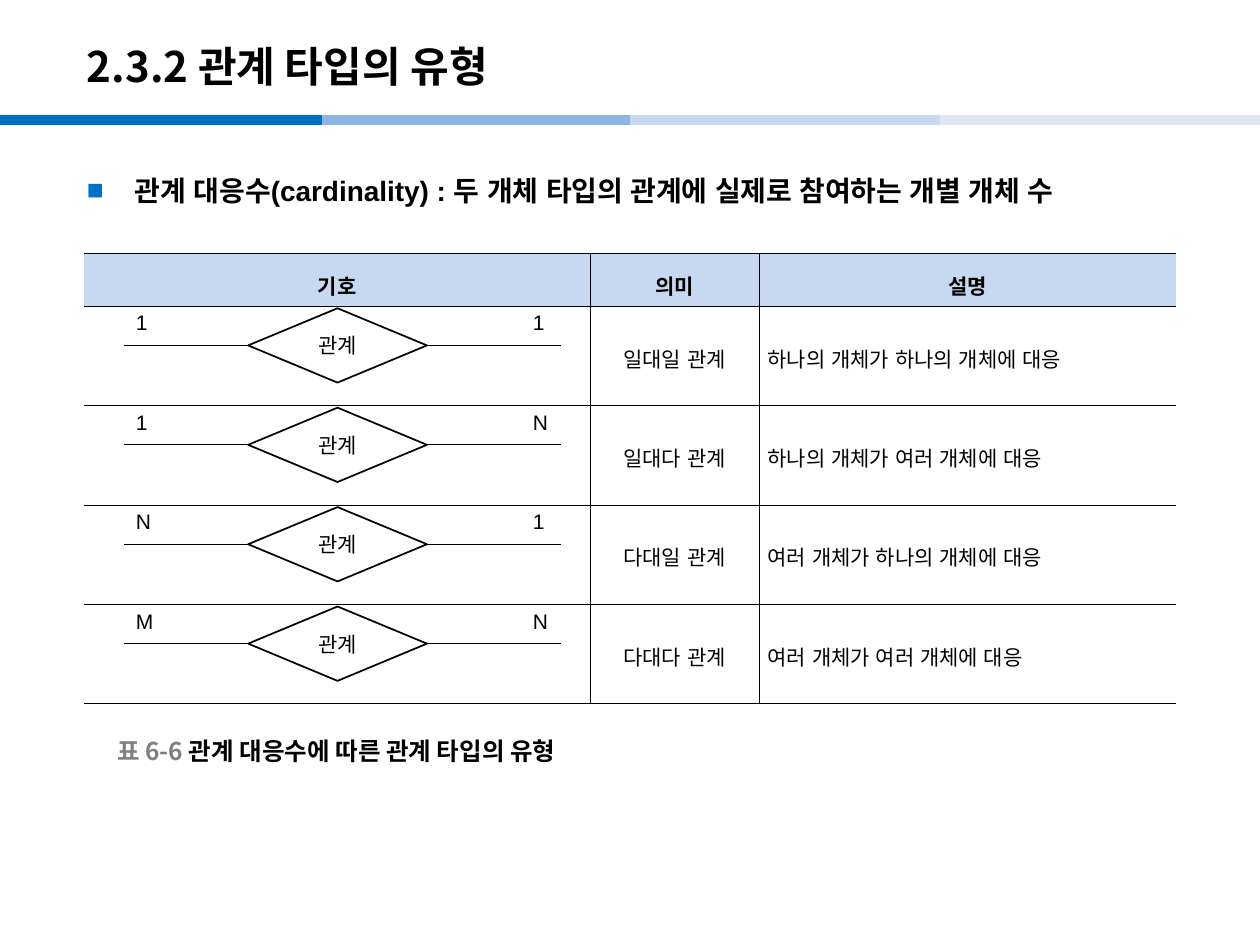
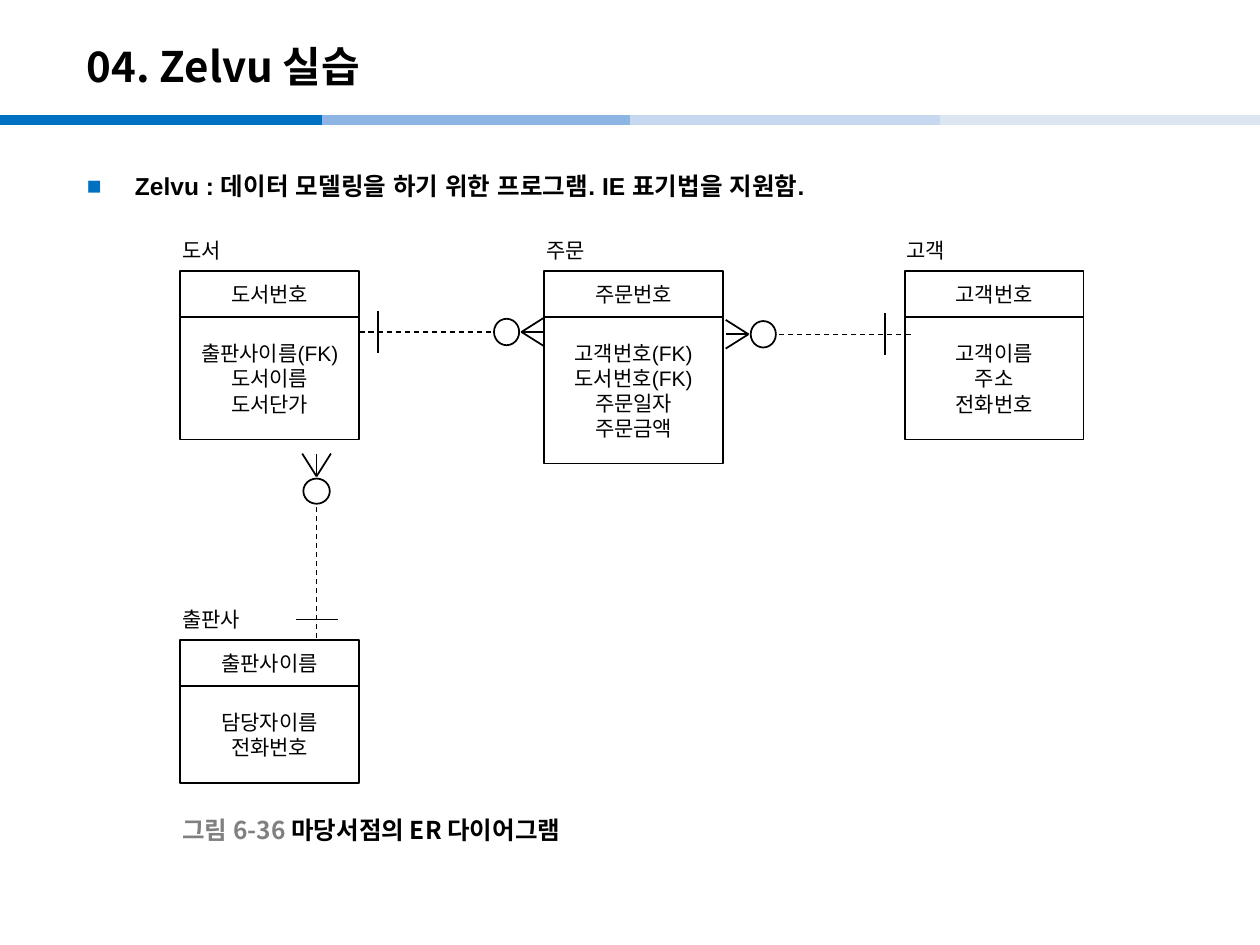
from lxml import etree
from pptx import Presentation
from pptx.dml.color import RGBColor
from pptx.enum.dml import MSO_LINE
from pptx.enum.shapes import MSO_CONNECTOR, MSO_SHAPE
from pptx.enum.text import MSO_ANCHOR, MSO_AUTO_SIZE, PP_ALIGN
from pptx.oxml.ns import qn
from pptx.util import Pt

BLACK = RGBColor(0x00, 0x00, 0x00)
WHITE = RGBColor(0xFF, 0xFF, 0xFF)
GRAY = RGBColor(0x80, 0x80, 0x80)
BLUE = RGBColor(0x00, 0x70, 0xC0)
MID_BLUE = RGBColor(0x8E, 0xB4, 0xE3)
LIGHT_BLUE = RGBColor(0xC6, 0xD9, 0xF1)
PALE_BLUE = RGBColor(0xDC, 0xE6, 0xF2)
ARIAL = "Arial"
NOTO = "Noto Sans CJK KR"

BANDS = [(0, BLUE), (184.3, MID_BLUE), (360, LIGHT_BLUE), (537.1, PALE_BLUE)]
BAND_Y, BAND_LENGTH = 68.5, 184.3

HEADER = ["기호", "의미", "설명"]
RELATION_TYPES = [
    ("1", "1", "일대일 관계", "하나의 개체가 하나의 개체에 대응"),
    ("1", "N", "일대다 관계", "하나의 개체가 여러 개체에 대응"),
    ("N", "1", "다대일 관계", "여러 개체가 하나의 개체에 대응"),
    ("M", "N", "다대다 관계", "여러 개체가 여러 개체에 대응"),
]
COLUMN_WIDTHS = [289.2, 96.5, 238.2]
HEADER_HEIGHT, ROW_HEIGHT = 30.3, 56.8

ENTITY_WIDTH, KEY_HEIGHT = 102.2, 26.6


def format_run(r, size, font=ARIAL, color=BLACK, bold=False):
    f = r.font
    f.size, f.name, f.bold = Pt(size), font, bold
    f.color.rgb = color
    ea = etree.SubElement(r._r.get_or_add_rPr(), qn("a:ea"))
    ea.set("typeface", font)


def format_text(tf, size=12, font=ARIAL, bold=False, align=None):
    for p in tf.paragraphs:
        p.alignment = align
        for r in p.runs:
            format_run(r, size, font, bold=bold)


def add_line(s, x1, y1, x2, y2, width=0.75, color=BLACK, dashed=False):
    line = s.shapes.add_connector(
        MSO_CONNECTOR.STRAIGHT, Pt(x1), Pt(y1), Pt(x2), Pt(y2))
    line.line.width = Pt(width)
    line.line.color.rgb = color
    if dashed:
        line.line.dash_style = MSO_LINE.DASH
    etree.SubElement(line.element.spPr, qn("a:effectLst"))
    return line


def add_outlined(s, kind, x, y, w, h, text="", font=ARIAL, fill=None):
    sp = s.shapes.add_shape(kind, Pt(x), Pt(y), Pt(w), Pt(h))
    sp.shadow.inherit = False
    sp.line.color.rgb = BLACK
    sp.line.width = Pt(1)
    if fill is None:
        sp.fill.background()
    else:
        sp.fill.solid()
        sp.fill.fore_color.rgb = fill
    if text:
        tf = sp.text_frame
        tf.text = text
        tf.vertical_anchor = MSO_ANCHOR.MIDDLE
        format_text(tf, font=font, align=PP_ALIGN.CENTER)
    return sp


def add_label(s, x, y, w, text, h=21.6):
    tf = s.shapes.add_textbox(Pt(x), Pt(y), Pt(w), Pt(h)).text_frame
    tf.word_wrap = True
    tf.text = text
    format_text(tf)
    return tf


def add_caption(s, x, y, number, text):
    tf = add_label(s, x, y, 340, "", 22.3)
    tf.vertical_anchor = MSO_ANCHOR.MIDDLE
    for part, color in ((number + " ", GRAY), (text, BLACK)):
        r = tf.paragraphs[0].add_run()
        r.text = part
        format_run(r, 14, NOTO, color, True)


def place(sp, x, y, w, h):
    sp.left, sp.top, sp.width, sp.height = Pt(x), Pt(y), Pt(w), Pt(h)


def add_bullet(p):
    p.line_spacing = 1.5
    p.space_before = Pt(0)
    pPr = p._p.get_or_add_pPr()
    pPr.set("marL", str(Pt(27.4)))
    pPr.set("indent", str(-Pt(27.4)))
    color = etree.SubElement(pPr, qn("a:buClr"))
    etree.SubElement(color, qn("a:srgbClr")).set("val", str(BLUE))
    etree.SubElement(pPr, qn("a:buFont")).set("typeface", ARIAL)
    etree.SubElement(pPr, qn("a:buChar")).set("char", "■")


def add_slide(prs, title, point, point_size):
    s = prs.slides.add_slide(prs.slide_layouts[1])
    heading, body = s.shapes.title.text_frame, s.placeholders[1].text_frame
    heading.text = title
    heading.vertical_anchor = MSO_ANCHOR.MIDDLE
    format_text(heading, 24, NOTO, True, PP_ALIGN.LEFT)
    body.text = point
    format_text(body, point_size, bold=True)
    add_bullet(body.paragraphs[0])
    for tf in (heading, body):
        tf.auto_size = MSO_AUTO_SIZE.NONE
    return s


def set_up_layout(layout, s):
    """Place the layout's placeholders and move the bands, drawn on s, to it."""
    place(layout.placeholders[0], 42.5, 15.8, 595.4, 43.2)
    place(layout.placeholders[1], 42.5, 85.7, 635, 430.6)
    for x, color in BANDS:
        band = add_line(s, x, BAND_Y, x + BAND_LENGTH, BAND_Y, 6, color)
        layout.shapes.element.append(band.element)


def set_borders(cell, hidden):
    """Draw thin lines on all sides but the hidden ones."""
    tcPr = cell._tc.get_or_add_tcPr()
    for i, side in enumerate("LRTB"):
        ln = etree.Element(qn("a:ln" + side))
        ln.set("w", str(Pt(0.28)))
        if side in hidden:
            etree.SubElement(ln, qn("a:noFill"))
        else:
            fill = etree.SubElement(ln, qn("a:solidFill"))
            etree.SubElement(fill, qn("a:srgbClr")).set("val", str(BLACK))
        tcPr.insert(i, ln)


def add_relation_table(s, x, y):
    rows = [HEADER] + [["", name, note] for _, _, name, note in RELATION_TYPES]
    heights = [HEADER_HEIGHT] + [ROW_HEIGHT] * len(RELATION_TYPES)
    table = s.shapes.add_table(
        len(rows), len(HEADER), Pt(x), Pt(y),
        Pt(sum(COLUMN_WIDTHS)), Pt(sum(heights))).table
    table.first_row = table.horz_banding = False
    for column, width in zip(table.columns, COLUMN_WIDTHS):
        column.width = Pt(width)
    for i, (row, height) in enumerate(zip(rows, heights)):
        table.rows[i].height = Pt(height)
        for j, text in enumerate(row):
            cell = table.cell(i, j)
            cell.text = text
            cell.vertical_anchor = MSO_ANCHOR.MIDDLE
            cell.margin_left = cell.margin_right = Pt(5)
            cell.margin_top = cell.margin_bottom = Pt(1.4)
            cell.fill.solid()
            cell.fill.fore_color.rgb = WHITE if i else LIGHT_BLUE
            centred = i == 0 or j < 2
            format_text(cell.text_frame, bold=i == 0,
                        align=PP_ALIGN.CENTER if centred else PP_ALIGN.LEFT)
            cell.text_frame.paragraphs[0].line_spacing = Pt(18) if i else 1.6
            set_borders(cell, {0: "L", 2: "R"}.get(j, ""))


def add_relation_symbol(s, y, left, right):
    """Draw a diamond on a line at height y with a count at each end."""
    add_line(s, 70.6, y, 320.4, y)
    add_outlined(s, MSO_SHAPE.FLOWCHART_DECISION, 141.8, y - 21.25,
                 102.2, 42.5, "관계", NOTO, WHITE)
    add_label(s, 70.6, y - 23.8, 26, left)
    add_label(s, 297.4, y - 23.8, 26, right)


def add_entity(s, x, y, name, key, fields, fields_height):
    add_outlined(s, MSO_SHAPE.RECTANGLE, x, y, ENTITY_WIDTH, KEY_HEIGHT, key)
    add_outlined(s, MSO_SHAPE.RECTANGLE, x, y + KEY_HEIGHT,
                 ENTITY_WIDTH, fields_height, "\n".join(fields))
    add_label(s, x - 6, y - 22.5, 18 + 12 * len(name), name)


def add_one_to_many(s, x, y, dx, dy, bar):
    """Draw a relation whose crow's foot has its apex at x, y.

    (dx, dy) is the unit step towards the many side; bar is the distance
    from the apex back to the mark of the one side.
    """
    def at(along, across=0):
        return x + dx * along + dy * across, y + dy * along + dx * across

    add_line(s, *at(-92.6), *at(12.5), dashed=True)
    add_line(s, *at(-bar, -12), *at(-bar, 12))
    cx, cy = at(-8.5)
    w, h = (14.4, 15.1) if dx else (15.1, 14.4)
    add_outlined(s, MSO_SHAPE.OVAL, cx - w / 2, cy - h / 2, w, h, fill=WHITE)
    for spread in (-8.2, 0, 8.2):
        add_line(s, x, y, *at(13, spread), width=1)


def add_cardinality_slide(prs):
    s = add_slide(
        prs, "2.3.2 관계 타입의 유형",
        "관계 대응수(cardinality) : 두 개체 타입의 관계에 실제로 참여하는 개별 개체 수", 16)
    add_relation_table(s, 48, 144.7)
    add_caption(s, 59.8, 417.6, "표 6-6", "관계 대응수에 따른 관계 타입의 유형")
    for i, (left, right, _, _) in enumerate(RELATION_TYPES):
        add_relation_symbol(s, 197.4 + i * ROW_HEIGHT, left, right)
    return s


def add_diagram_slide(prs):
    s = add_slide(
        prs, "04. Zelvu 실습",
        "Zelvu : 데이터 모델링을 하기 위한 프로그램. IE 표기법을 지원함.", 14)
    add_entity(s, 103, 154.8, "도서", "도서번호",
               ["출판사이름(FK)", "도서이름", "도서단가"], 69.8)
    add_entity(s, 311, 154.8, "주문", "주문번호",
               ["고객번호(FK)", "도서번호(FK)", "주문일자", "주문금액"], 83.5)
    add_entity(s, 517, 154.8, "고객", "고객번호",
               ["고객이름", "주소", "전화번호"], 69.8)
    add_entity(s, 103, 365.6, "출판사", "출판사이름",
               ["담당자이름", "전화번호"], 55.4)
    add_one_to_many(s, 298, 189.7, 1, 0, 82)
    add_one_to_many(s, 427.7, 191, -1, 0, 78)
    add_one_to_many(s, 180.9, 272.2, 0, -1, 82)
    add_caption(s, 97.2, 463, "그림 6-36", "마당서점의 ER 다이어그램")


def main():
    prs = Presentation()
    prs.slide_width, prs.slide_height = Pt(720), Pt(540)
    s = add_cardinality_slide(prs)
    set_up_layout(prs.slide_layouts[1], s)
    add_diagram_slide(prs)
    prs.save("out.pptx")


if __name__ == "__main__":
    main()
